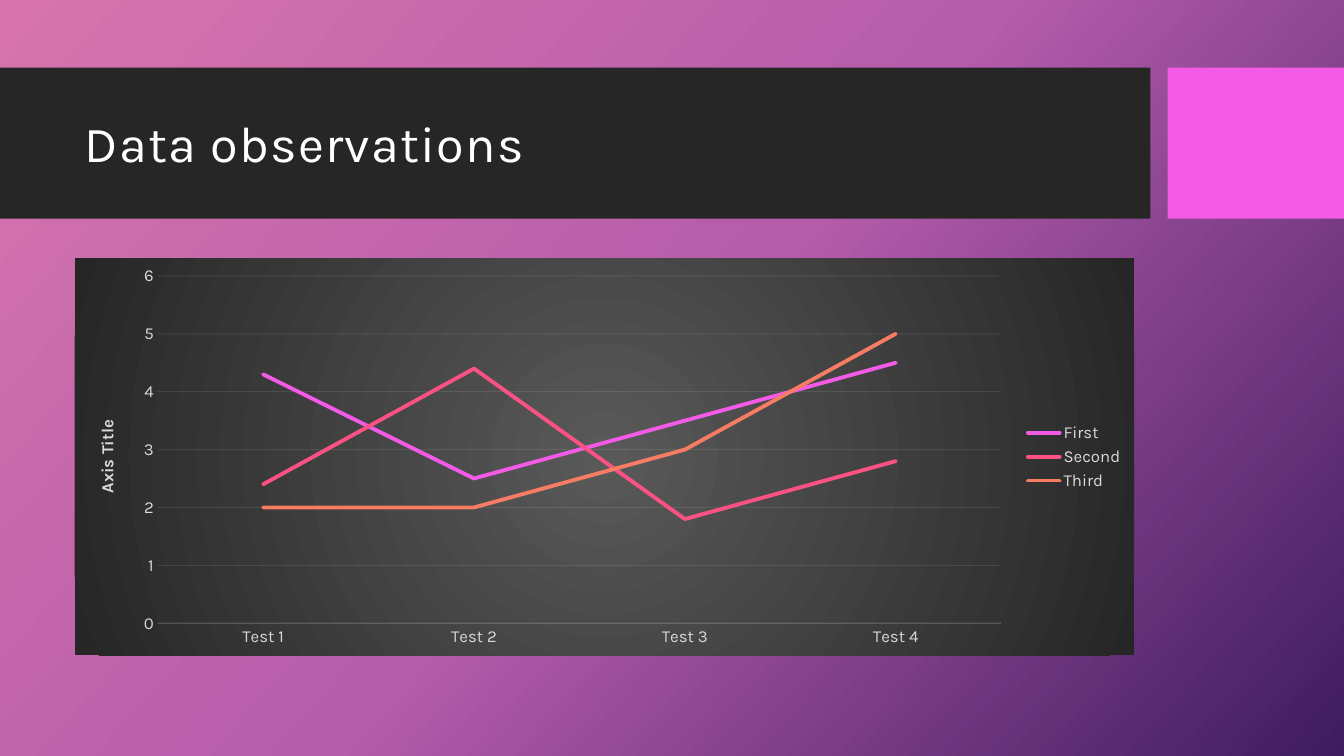
from dataclasses import dataclass

from pptx import Presentation
from pptx.chart.data import CategoryChartData
from pptx.dml.color import RGBColor
from pptx.enum.chart import XL_CHART_TYPE, XL_LEGEND_POSITION, XL_MARKER_STYLE, XL_TICK_MARK
from pptx.enum.shapes import MSO_SHAPE
from pptx.enum.text import MSO_ANCHOR, MSO_AUTO_SIZE, PP_ALIGN
from pptx.oxml import parse_xml
from pptx.oxml.ns import nsdecls, qn
from pptx.util import Inches, Pt


@dataclass(frozen=True)
class Theme:
    font: str = "Karla"
    title_size: float = 36
    label_size: float = 12
    chart_size: float = 10
    white: str = "FFFFFF"
    label: str = "D9D9D9"
    grid: str = "F2F2F2"
    band: str = "262626"
    accent: str = "F35AE6"
    series: tuple = ("F35AE6", "FC5283", "F67C64")
    background: tuple = ((0, "D774AD"), (50, "B55CAB"), (100, "3E1C5F"))
    chart_glow: tuple = ((0, "595959"), (100, "262626"))


LINEAR = '<a:lin ang="{}" scaled="0"/>'.format(42 * 60000)
CIRCLE = '<a:path path="circle"><a:fillToRect l="50000" t="50000" r="50000" b="50000"/></a:path>'


def gradient_xml(stops, direction):
    stop_xml = "".join(
        f'<a:gs pos="{position * 1000}"><a:srgbClr val="{color}"/></a:gs>'
        for position, color in stops
    )
    return (f'<a:gradFill {nsdecls("a")} rotWithShape="1">'
            f'<a:gsLst>{stop_xml}</a:gsLst>{direction}</a:gradFill>')


class SlideBuilder:
    def __init__(self, slide, theme):
        self.slide = slide
        self.theme = theme

    def style_font(self, font, size, color, bold=False):
        font.name = self.theme.font
        font.size = Pt(size)
        font.bold = bold
        font.color.rgb = RGBColor.from_string(color)

    def style_line(self, line, color, width, opacity=100):
        line.width = Pt(width)
        line.fill.solid()
        line.fill.fore_color.rgb = RGBColor.from_string(color)
        if opacity < 100:
            for element in line._get_or_add_ln().iter(qn("a:srgbClr")):
                element.append(parse_xml(f'<a:alpha {nsdecls("a")} val="{opacity * 1000}"/>'))

    def background(self):
        self.slide.background.fill.solid()
        properties = self.slide.element.find(".//" + qn("p:bgPr"))
        gradient = parse_xml(gradient_xml(self.theme.background, LINEAR))
        properties.replace(properties.find(qn("a:solidFill")), gradient)

    def block(self, left, top, width, height, color):
        shape = self.slide.shapes.add_shape(
            MSO_SHAPE.RECTANGLE, Inches(left), Inches(top), Inches(width), Inches(height))
        shape.shadow.inherit = False
        shape.fill.solid()
        shape.fill.fore_color.rgb = RGBColor.from_string(color)
        shape.line.fill.background()

    def title(self, text, left, top, width, height):
        title = self.slide.shapes.title
        title.left, title.top = Inches(left), Inches(top)
        title.width, title.height = Inches(width), Inches(height)
        frame = title.text_frame
        frame.word_wrap = True
        frame.auto_size = MSO_AUTO_SIZE.NONE
        frame.vertical_anchor = MSO_ANCHOR.MIDDLE
        paragraph = frame.paragraphs[0]
        paragraph.alignment = PP_ALIGN.LEFT
        run = paragraph.add_run()
        run.text = text
        self.style_font(run.font, self.theme.title_size, self.theme.white)
        run.font._element.set("spc", "90")
        # Bring the title in front of the blocks
        title.element.getparent().append(title.element)

    def line_chart(self, categories, series_values, axis_title, left, top, width, height):
        theme = self.theme
        data = CategoryChartData()
        data.categories = categories
        for name, values in series_values.items():
            data.add_series(name, values)
        chart = self.slide.shapes.add_chart(
            XL_CHART_TYPE.LINE, Inches(left), Inches(top),
            Inches(width), Inches(height), data).chart
        chart.has_title = False
        self.style_font(chart.font, theme.chart_size, theme.white)

        # Chart area
        area = parse_xml(
            f'<c:spPr {nsdecls("c", "a")}>{gradient_xml(theme.chart_glow, CIRCLE)}'
            '<a:ln><a:noFill/></a:ln></c:spPr>')
        chart.element.find(qn("c:txPr")).addprevious(area)

        # Legend
        chart.has_legend = True
        chart.legend.position = XL_LEGEND_POSITION.RIGHT
        chart.legend.include_in_layout = False
        self.style_font(chart.legend.font, theme.label_size, theme.label)

        # Axes
        category_axis, value_axis = chart.category_axis, chart.value_axis
        for axis in (category_axis, value_axis):
            axis.major_tick_mark = axis.minor_tick_mark = XL_TICK_MARK.NONE
            self.style_font(axis.tick_labels.font, theme.label_size, theme.label)
        category_axis.has_major_gridlines = False
        self.style_line(category_axis.format.line, theme.grid, 0.75, 10)
        value_axis.minimum_scale, value_axis.maximum_scale = 0, 6
        value_axis.major_unit = 1
        value_axis.format.line.fill.background()
        value_axis.has_major_gridlines = True
        self.style_line(value_axis.major_gridlines.format.line, theme.grid, 0.75, 10)
        frame = value_axis.axis_title.text_frame
        run = frame.paragraphs[0].add_run()
        run.text = axis_title
        self.style_font(run.font, theme.label_size, theme.label, bold=True)
        body = frame._txBody.find(qn("a:bodyPr"))
        body.set("rot", "-5400000")
        body.set("vert", "horz")

        # Series
        chart.plots[0].vary_by_categories = False
        for series, color in zip(chart.plots[0].series, theme.series):
            series.smooth = False
            series.marker.style = XL_MARKER_STYLE.NONE
            self.style_line(series.format.line, color, 2.75)
            series.format.line._get_or_add_ln().set("cap", "rnd")


def main():
    presentation = Presentation()
    presentation.slide_width = Inches(13.33)
    presentation.slide_height = Inches(7.5)
    theme = Theme()
    slide = presentation.slides.add_slide(presentation.slide_layouts[5])
    builder = SlideBuilder(slide, theme)

    # Backdrop and heading
    builder.background()
    builder.block(0, 0.67, 11.41, 1.5, theme.band)
    builder.block(11.58, 0.67, 1.75, 1.5, theme.accent)
    builder.title("Data observations", 0.74, 0.82, 10.51, 1.18)

    # Test results
    builder.line_chart(
        [f"Test {number}" for number in range(1, 5)],
        {"First": (4.3, 2.5, 3.5, 4.5),
         "Second": (2.4, 4.4, 1.8, 2.8),
         "Third": (2, 2, 3, 5)},
        "Axis Title", 0.74, 2.56, 10.51, 3.94)

    presentation.save("out.pptx")


if __name__ == "__main__":
    main()
